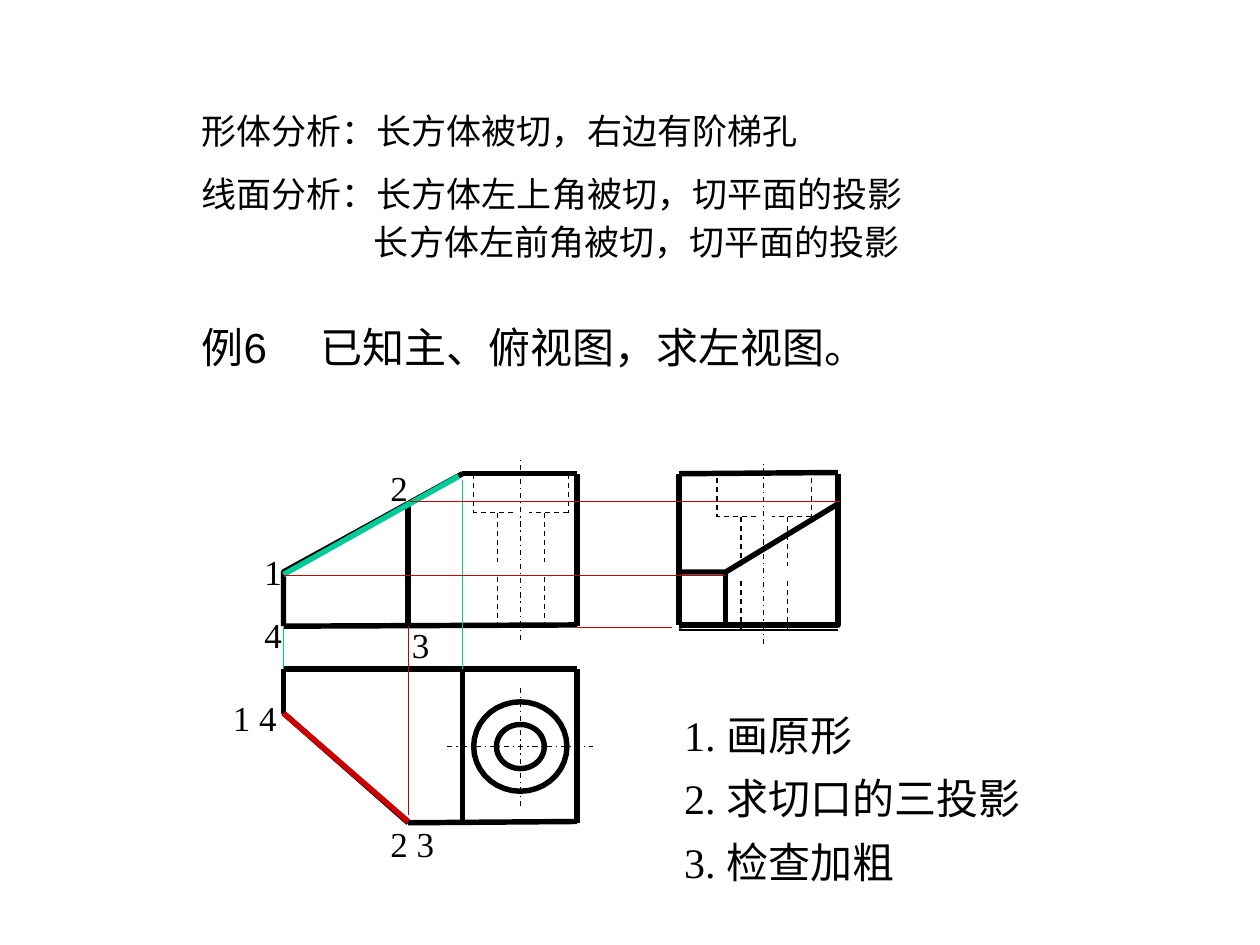
from itertools import cycle
from math import cos, radians, sin

from lxml.etree import SubElement
from pptx import Presentation
from pptx.dml.color import RGBColor
from pptx.enum.dml import MSO_LINE
from pptx.enum.shapes import MSO_CONNECTOR
from pptx.enum.text import MSO_ANCHOR, PP_ALIGN
from pptx.oxml.ns import qn
from pptx.util import Inches, Pt

BLACK = RGBColor(0x00, 0x00, 0x00)
RED = RGBColor(0xCC, 0x00, 0x00)
GREEN = RGBColor(0x00, 0xCC, 0x99)
SANS, SERIF = "Arial", "Times New Roman"

THICK = {"width": Pt(3.12)}
MEDIUM = {"width": Pt(1.5)}
THIN = {"width": Pt(0.75)}
HIDDEN = {"width": Pt(0.75), "dash_style": MSO_LINE.DASH}
CENTRE = {"width": Pt(0.75), "dash_style": MSO_LINE.DASH_DOT}
FRAME = {"word_wrap": True, "vertical_anchor": MSO_ANCHOR.TOP,
         "margin_left": Inches(0.1), "margin_right": Inches(0.1),
         "margin_top": Inches(0.05), "margin_bottom": Inches(0.05)}


def apply(target, values):
    for name, value in values.items():
        setattr(target, name, value)


def set_line(sp, style, color):
    sp.line.color.rgb = color
    apply(sp.line, style)


def add_lines(s, left, top, lines, style, color=BLACK):
    for x1, y1, x2, y2 in lines:
        sp = s.shapes.add_connector(
            MSO_CONNECTOR.STRAIGHT, Inches(left + x1), Inches(top + y1),
            Inches(left + x2), Inches(top + y2))
        set_line(sp, style, color)
        SubElement(sp._element.spPr, qn("a:effectLst"))


def add_path(s, left, top, points, style, close=False):
    corners = [(Inches(left + x), Inches(top + y)) for x, y in points]
    builder = s.shapes.build_freeform(*corners[0])
    builder.add_line_segments(corners[1:], close=close)
    sp = builder.convert_to_shape()
    sp.fill.background()
    sp.shadow.inherit = False
    set_line(sp, style, BLACK)


def place(sp, left, top, width, height):
    apply(sp, {"left": Inches(left), "top": Inches(top),
               "width": Inches(width), "height": Inches(height)})


def write(p, texts, size, fonts):
    p.alignment = PP_ALIGN.LEFT
    for text, name in zip(texts, cycle(fonts)):
        r = p.add_run()
        r.text = text
        apply(r.font, {"name": name, "size": Pt(size)})
        r.font.color.rgb = BLACK


def add_text(s, left, top, width, texts, fonts):
    sp = s.shapes.add_textbox(Inches(left), Inches(top), Inches(width), Inches(0.44))
    apply(sp.text_frame, FRAME)
    write(sp.text_frame.paragraphs[0], texts, 20, fonts)


def add_title(s, left, top, width, height):
    sp = s.shapes.title
    place(sp, left, top, width, height)
    apply(sp.text_frame, FRAME)
    p = sp.text_frame.paragraphs[0]
    tabs = SubElement(p._p.get_or_add_pPr(), qn("a:tabLst"))
    SubElement(tabs, qn("a:tab"), pos=str(Inches(0.94)), algn="l")
    write(p, ["例6\t已知主、俯视图，求左视图。"], 24, [SANS])


def add_analysis(s, left, top):
    rows = [
        (0, 0, 5.67, ["形体分析", "：", "长方体被切，右边有阶梯孔"]),
        (0, 0.5, 6.25, ["线面分析", "：", "长方体左上角被切", "，", "切平面的投影"]),
        (1.37, 0.88, 5.17, ["长方体左前角被切", "，", "切平面的投影"]),
    ]
    for x, y, width, texts in rows:
        add_text(s, left + x, top + y, width, texts, [SANS, SERIF])


def add_steps(s, left, top, width, height):
    sp = s.placeholders[1]
    place(sp, left, top, width, height)
    tf = sp.text_frame
    apply(tf, FRAME)
    for i, step in enumerate(["画原形", "求切口的三投影", "检查加粗"]):
        p = tf.add_paragraph() if i else tf.paragraphs[0]
        pPr = p._p.get_or_add_pPr()
        pPr.set("marL", "0")
        pPr.set("indent", "0")
        SubElement(pPr, qn("a:buNone"))
        apply(p, {"line_spacing": Pt(36.5), "space_before": Pt(0)})
        write(p, [f"{i + 1}. ", step], 24, [SERIF, SANS])


def add_hole(s, left, top):
    bore, mid, base = 0.31, 0.70, 1.21
    lines = [(0.75, bore, 0.44, bore), (0.31, bore, 0, bore)]
    lines += [(x, 0, x, bore) for x in (0, 0.75)]
    for x in (0.19, 0.56):
        lines += [(x, bore, x, mid), (x, mid + 0.12, x, base)]
    add_lines(s, left, top, lines, HIDDEN)
    add_lines(s, left, top, [(0.37, 1.32, 0.37, -0.11)], CENTRE)


def add_front_view(s, left, top):
    width, height, slope, cut = 2.33, 1.21, 1.42, 0.99
    add_path(s, left, top, [(slope, 0), (0, 0.78), (0, height)], THICK)
    add_lines(s, left, top, [
        (cut, height, cut, 0.24), (slope, 0, width, 0),
        (0, height, width, height - 0.01), (width, 0, width, height)], THICK)
    add_hole(s, left + 1.51, top)


def add_top_view(s, left, top):
    width, height, slope, cut = 2.33, 1.22, 1.42, 0.99
    add_lines(s, left, top, [
        (slope, 0, slope, height), (0, 0, 0, 0.36), (cut, height, 0, 0.35),
        (cut, height, width, height - 0.01), (0, 0, width, 0),
        (width, 0, width, height)], THICK)
    cx, cy = 1.88, 0.615
    for rx, ry in [(0.19, 0.175), (0.37, 0.355)]:
        points = [(cx + rx * cos(radians(a)), cy - ry * sin(radians(a)))
                  for a in range(0, 360, 10)]
        add_path(s, left, top, points, THICK, close=True)
    add_lines(s, left, top, [(1.3, cy, 2.46, cy), (cx, 1.09, cx, 0.13)], CENTRE)


def add_left_view(s, left, top):
    width, height, notch = 1.26, 1.21, 0.37
    add_lines(s, left, top, [
        (0, 0.04, 0.01, 1.24), (0, 0, width, 0),
        (width, 0.03, width, 1.23), (0, 1.25, width, 1.25)], MEDIUM)
    add_hole(s, left + 0.3, top + 0.04)
    add_lines(s, left, top, [(0, 0.01, 0, height), (0, 0.01, width, 0),
                             (notch, 1.2, notch, 0.79)], THICK)
    add_path(s, left, top, [(0, height), (width, height), (width, 0.01)], THICK)
    add_path(s, left, top, [(width, 0.25), (notch, 0.79), (0, 0.79)], THICK)


def add_projections(s, left, top):
    add_lines(s, left, top, [(0.99, 2.76, 0, 1.9)], THICK, RED)
    add_lines(s, left, top, [(0, 0.8, 1.39, 0.02)], THICK, GREEN)
    add_lines(s, left, top, [(0, 1.21, 0, 1.55), (1.42, 0.05, 1.42, 1.55)], THIN, GREEN)
    add_lines(s, left, top, [
        (0.99, 2.71, 0.99, 1.21), (0, 0.81, 3.5, 0.81),
        (1, 0.22, 4.42, 0.22), (2.33, 1.22, 3.08, 1.22)], THIN, RED)


def add_labels(s, left, top):
    labels = [("1", 0.25, 0.67, 0.5), ("2", 1.25, 0, 0.5), ("3", 1.42, 1.25, 0.5),
              ("4", 0.25, 1.17, 0.5), ("1 4", 0, 1.83, 0.83), ("2 3", 1.25, 2.83, 0.83)]
    for text, x, y, width in labels:
        add_text(s, left + x, top + y, width, [text], [SERIF])


def main():
    prs = Presentation()
    apply(prs, {"slide_width": Inches(10), "slide_height": Inches(7.5)})
    s = prs.slides.add_slide(prs.slide_layouts[1])
    add_title(s, 1.5, 2.5, 6, 0.5)
    add_analysis(s, 1.5, 0.82)
    add_steps(s, 5.33, 5.47, 4.67, 1.7)
    add_front_view(s, 2.25, 3.76)
    add_top_view(s, 2.25, 5.31)
    add_left_view(s, 5.39, 3.75)
    add_projections(s, 2.25, 3.76)
    add_labels(s, 1.75, 3.65)
    prs.save("out.pptx")


if __name__ == "__main__":
    main()
